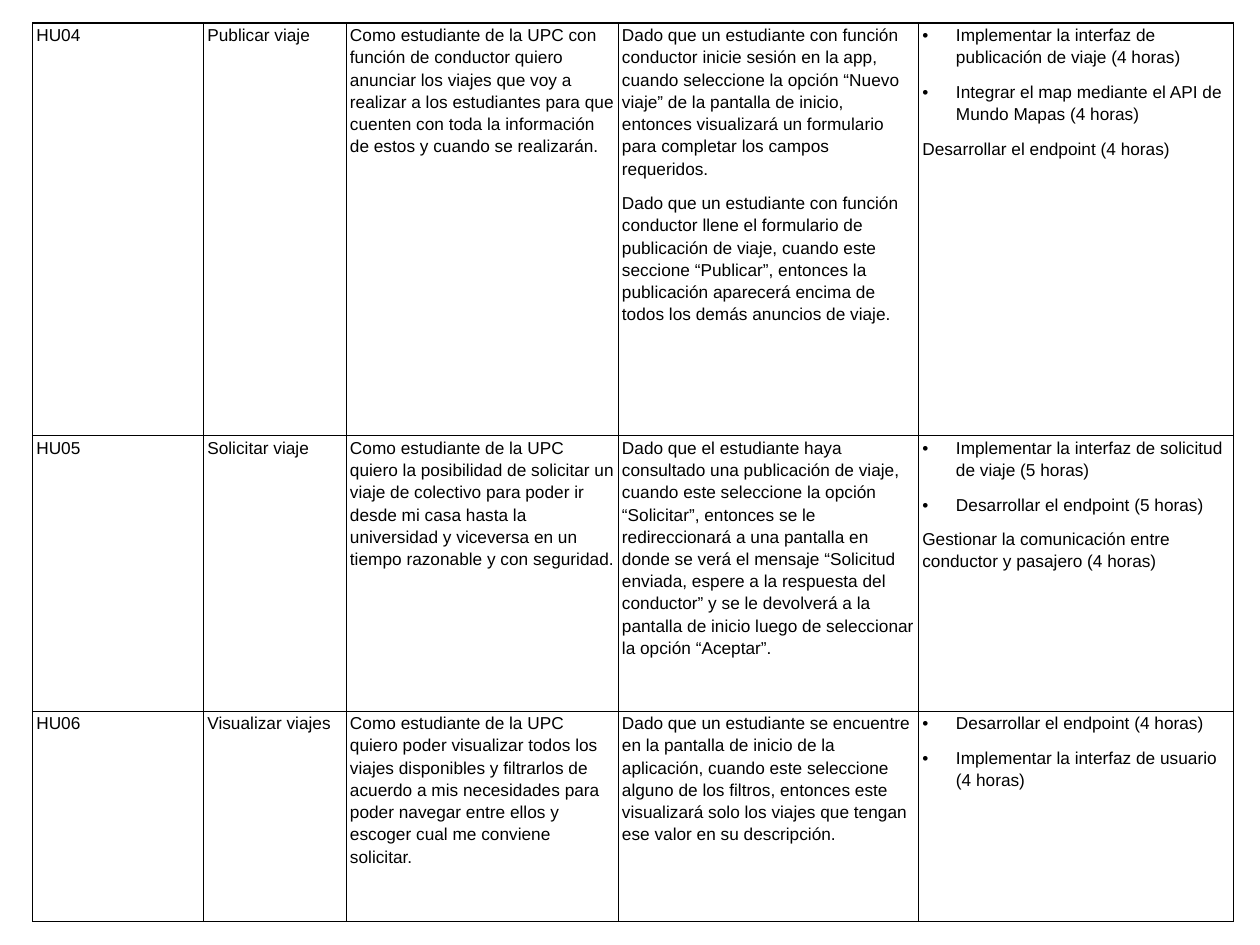
from lxml import etree
from pptx import Presentation
from pptx import util as u
from pptx.dml.color import RGBColor
from pptx.oxml.ns import qn

BULLET = "•"
COLORS = {"ink": "000000"}
FONT, SIZE = "Arial", 14
COL_WIDTHS = [1.93, 1.61, 3.07, 3.39, 3.55]
ROW_HEIGHTS = [4.66, 3.11, 2.38]
LEFT, TOP = 0.37, 0.26
INSET, INDENT = 0.04, 0.38

STORIES = [
    (
        ["HU04"],
        ["Publicar viaje"],
        ["Como estudiante de la UPC con función de conductor quiero anunciar los viajes que voy a "
         "realizar a los estudiantes para que cuenten con toda la información de estos y cuando se "
         "realizarán."],
        ["Dado que un estudiante con función conductor inicie sesión en la app, cuando seleccione "
         "la opción “Nuevo viaje” de la pantalla de inicio, entonces visualizará un formulario para "
         "completar los campos requeridos.",
         "Dado que un estudiante con función conductor llene el formulario de publicación de viaje, "
         "cuando este seccione “Publicar”, entonces la publicación aparecerá encima de todos los "
         "demás anuncios de viaje."],
        [(BULLET, "Implementar la interfaz de publicación de viaje (4 horas)"),
         (BULLET, "Integrar el map mediante el API de Mundo Mapas (4 horas)"),
         "Desarrollar el endpoint (4 horas)"],
    ),
    (
        ["HU05"],
        ["Solicitar viaje"],
        ["Como estudiante de la UPC quiero la posibilidad de solicitar un viaje de colectivo para "
         "poder ir desde mi casa hasta la universidad y viceversa en un tiempo razonable y con "
         "seguridad."],
        ["Dado que el estudiante haya consultado una publicación de viaje, cuando este seleccione "
         "la opción “Solicitar”, entonces se le redireccionará a una pantalla en donde se verá el "
         "mensaje “Solicitud enviada, espere a la respuesta del conductor” y se le devolverá a la "
         "pantalla de inicio luego de seleccionar la opción “Aceptar”."],
        [(BULLET, "Implementar la interfaz de solicitud de viaje (5 horas)"),
         (BULLET, "Desarrollar el endpoint (5 horas)"),
         "Gestionar la comunicación entre conductor y pasajero (4 horas)"],
    ),
    (
        ["HU06"],
        ["Visualizar viajes"],
        ["Como estudiante de la UPC quiero poder visualizar todos los viajes disponibles y "
         "filtrarlos de acuerdo a mis necesidades para poder navegar entre ellos y escoger cual me "
         "conviene solicitar."],
        ["Dado que un estudiante se encuentre en la pantalla de inicio de la aplicación, cuando "
         "este seleccione alguno de los filtros, entonces este visualizará solo los viajes que "
         "tengan ese valor en su descripción."],
        [(BULLET, "Desarrollar el endpoint (4 horas)"),
         (BULLET, "Implementar la interfaz de usuario (4 horas)")],
    ),
]


def add_borders(cell):
    tcPr = cell._tc.get_or_add_tcPr()
    for side in ("lnL", "lnR", "lnT", "lnB"):
        ln = etree.SubElement(tcPr, qn(f"a:{side}"), w=str(u.Pt(1)))
        fill = etree.SubElement(ln, qn("a:solidFill"))
        etree.SubElement(fill, qn("a:srgbClr"), val=COLORS["ink"])


def add_bullet(p, char):
    pPr = p._p.get_or_add_pPr()
    pPr.set("marL", str(u.Inches(INDENT)))
    pPr.set("indent", str(-u.Inches(INDENT)))
    etree.SubElement(pPr, qn("a:buFont"), typeface=FONT)
    etree.SubElement(pPr, qn("a:buChar"), char=char)


def fill_cell(cell, items):
    cell.margin_left = cell.margin_right = u.Inches(INSET)
    cell.margin_top = cell.margin_bottom = 0
    add_borders(cell)
    cell.fill.background()
    tf = cell.text_frame
    for i, item in enumerate(items):
        p = tf.add_paragraph() if i else tf.paragraphs[0]
        if isinstance(item, tuple):
            char, item = item
            add_bullet(p, char)
        p.line_spacing = 1.15
        p.space_after = u.Pt(10)
        r = p.add_run()
        r.text = item
        r.font.name = FONT
        r.font.size = u.Pt(SIZE)
        r.font.bold = False
        r.font.color.rgb = RGBColor.from_string(COLORS["ink"])


def main():
    prs = Presentation()
    prs.slide_width, prs.slide_height = u.Inches(14.22), u.Inches(10.67)
    s = prs.slides.add_slide(prs.slide_layouts[6])
    table = s.shapes.add_table(
        len(ROW_HEIGHTS), len(COL_WIDTHS), u.Inches(LEFT), u.Inches(TOP),
        u.Inches(sum(COL_WIDTHS)), u.Inches(sum(ROW_HEIGHTS))).table
    table.first_row = table.horz_banding = False
    for col, width in zip(table.columns, COL_WIDTHS):
        col.width = u.Inches(width)
    for row, height, story in zip(table.rows, ROW_HEIGHTS, STORIES):
        row.height = u.Inches(height)
        for cell, items in zip(row.cells, story):
            fill_cell(cell, items)
    prs.save("out.pptx")


if __name__ == "__main__":
    main()
